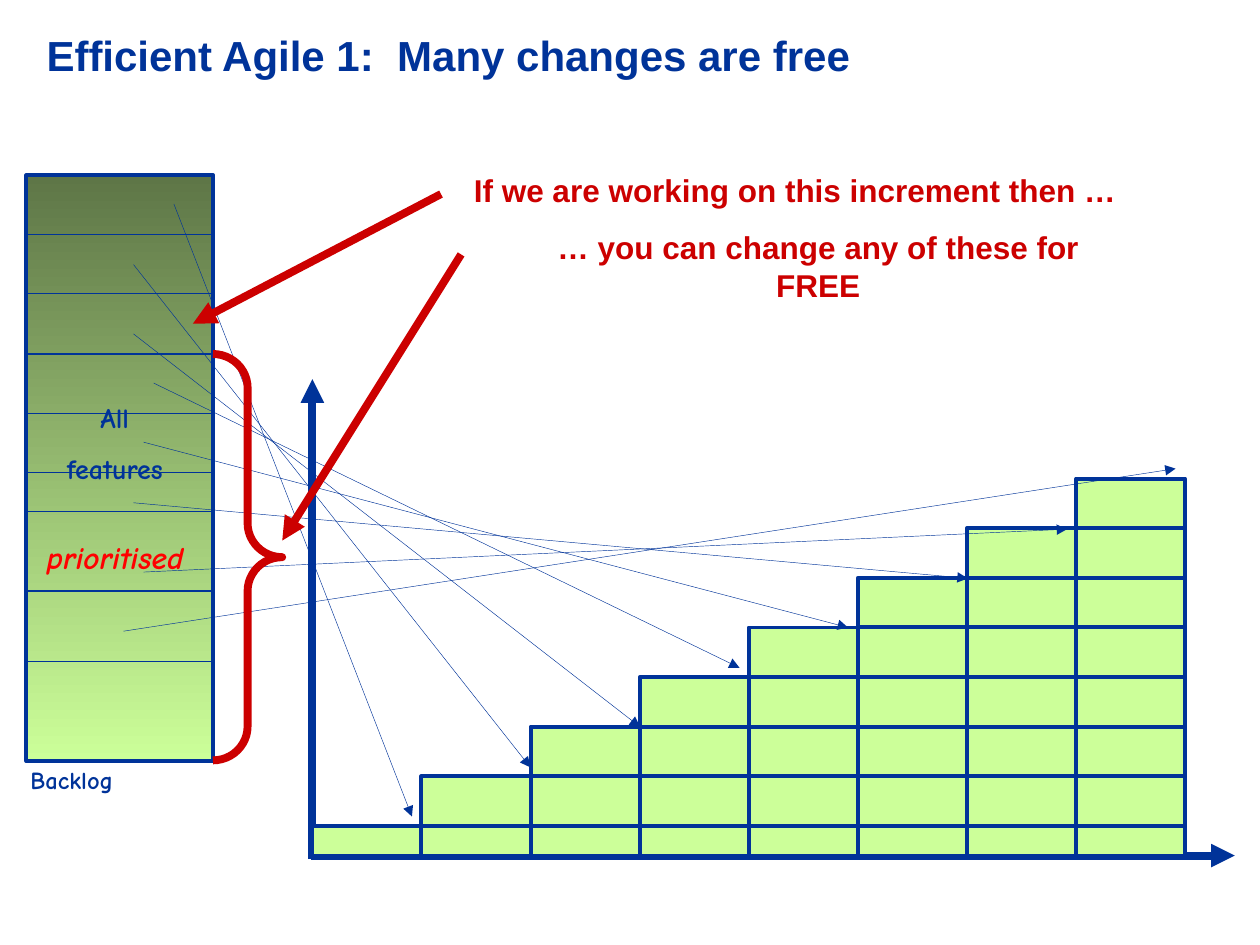
from lxml.etree import SubElement
from pptx import Presentation
from pptx.dml.color import RGBColor
from pptx.enum.shapes import MSO_CONNECTOR as CONNECTOR, MSO_SHAPE as SHAPE
from pptx.enum.text import MSO_ANCHOR as ANCHOR, PP_ALIGN as ALIGN
from pptx.oxml.ns import qn
from pptx.util import Pt

COLOURS = {"navy": "003399", "red": "CC0000", "bright": "FF0000",
           "lime": "CCFF99", "olive": "5E7647"}
HAND_FONT = "Comic Neue"

# Staircase of increments
INCREMENTS = 8
STAIR_LEFT, CELL_WIDTH = 178.5, 62.34
FIRST_TOP, FIRST_HEIGHT, ROW_HEIGHT = 472, 17.2, 28.35

DIVIDERS = [133.9, 167.8, 202.3, 236.2, 270, 292.5, 337.7, 378]
DELIVERIES = [
    ((99.4, 116.6), (235.4, 466.6)),
    ((76.3, 151.2), (303.1, 438.5)),
    ((76.3, 190.8), (365.8, 415.4)),
    ((87.8, 218.9), (422.6, 381.6)),
    ((82.1, 252.7), (484.6, 358.6)),
    ((76.3, 287.3), (553, 330.5)),
    ((82.1, 326.9), (609.8, 302.4)),
    ((70.6, 360.7), (671.8, 267.8)),
]


def rgb(name):
    return RGBColor.from_string(COLOURS[name])


def format_text(frame, size, colour, font, italic=False, align=ALIGN.CENTER):
    for para in frame.paragraphs:
        para.alignment = align
        for span in para.runs:
            span.font.size = Pt(size)
            span.font.name = font
            span.font.bold = True
            span.font.italic = italic
            span.font.color.rgb = rgb(colour)


def add_title(page, text):
    title = page.shapes.title
    title.left, title.top, title.width, title.height = map(Pt, (19.4, 15.1, 687, 36))
    frame = title.text_frame
    frame.text = text
    frame.vertical_anchor = ANCHOR.MIDDLE
    frame.paragraphs[0].line_spacing = 0.9
    format_text(frame, 24, "navy", "Arial", align=ALIGN.LEFT)


def add_label(page, text, place, size, colour, font, italic=False):
    box = page.shapes.add_textbox(*map(Pt, place))
    box.text_frame.word_wrap = False
    box.text_frame.text = text
    format_text(box.text_frame, size, colour, font, italic)


def add_box(page, *place):
    box = page.shapes.add_shape(SHAPE.RECTANGLE, *map(Pt, place))
    box.shadow.inherit = False
    box.fill.solid()
    box.fill.fore_color.rgb = rgb("lime")
    box.line.color.rgb = rgb("navy")
    box.line.width = Pt(2.25)
    return box


def add_line(page, start, end, colour, width, arrow=True):
    """Draw a straight line, with an arrowhead at its end if wanted."""
    line = page.shapes.add_connector(CONNECTOR.STRAIGHT, *map(Pt, start + end))
    line.line.color.rgb = rgb(colour)
    line.line.width = Pt(width)
    properties = line._element.spPr
    if arrow:
        SubElement(properties.find(qn("a:ln")), qn("a:tailEnd"), type="triangle")
    SubElement(properties, qn("a:effectLst"))


def add_backlog(page):
    backlog = add_box(page, 15.1, 100.1, 106.6, 334.8)
    backlog.fill.gradient()
    backlog.fill.gradient_angle = 270
    for stop, colour in zip(backlog.fill.gradient_stops, ("olive", "lime")):
        stop.color.rgb = rgb(colour)
    frame = backlog.text_frame
    frame.text = "All \nfeatures "
    frame.vertical_anchor = ANCHOR.MIDDLE
    frame.margin_bottom = Pt(32.4)  # keeps the words above "prioritised"
    for para in frame.paragraphs:
        para.space_before = Pt(10)
    format_text(frame, 16, "navy", HAND_FONT)


def add_staircase(page):
    for row in range(INCREMENTS):
        top = FIRST_TOP - row * ROW_HEIGHT
        height = ROW_HEIGHT if row else FIRST_HEIGHT
        for column in range(row, INCREMENTS):
            add_box(page, STAIR_LEFT + column * CELL_WIDTH, top, CELL_WIDTH, height)


def add_brace(page):
    brace = page.shapes.add_shape(SHAPE.RIGHT_BRACE, *map(Pt, (121.7, 202.3, 39.6, 232.2)))
    brace.shadow.inherit = False
    brace.adjustments[0] = 0.49
    brace.adjustments[1] = 0.5
    brace.fill.background()
    brace.line.color.rgb = rgb("red")
    brace.line.width = Pt(4.5)


def main():
    deck = Presentation()
    deck.slide_width, deck.slide_height = Pt(720), Pt(540)
    page = deck.slides.add_slide(deck.slide_layouts[5])

    add_title(page, "Efficient Agile 1:  Many changes are free")
    add_backlog(page)
    add_line(page, (177.8, 488.9), (705.6, 488.9), "navy", 4.5)
    add_line(page, (178.5, 491), (178.5, 216.7), "navy", 4.5)
    add_staircase(page)
    for start, end in DELIVERIES:
        add_line(page, start, end, "navy", 0.25)
    for y in DIVIDERS:
        add_line(page, (14.4, y), (121.7, y), "navy", 0.75, arrow=False)

    add_label(page, "prioritised", (19.4, 303.8, 92.9, 61.9), 18, "bright", HAND_FONT, True)
    add_label(page, "Backlog", (10.1, 433.4, 61.9, 24.5), 14, "navy", HAND_FONT)
    add_label(page, "If we are working on this increment then …",
              (263.5, 94.3, 381.6, 28.8), 18, "red", "Arial")
    add_line(page, (252, 110.9), (110.2, 185), "red", 4.5)
    add_brace(page)
    add_line(page, (263.5, 145.4), (161.3, 308.9), "red", 4.5)
    add_label(page, "… you can change any of these for FREE",
              (285.1, 126.7, 365, 28.8), 18, "red", "Arial")
    deck.save("out.pptx")


if __name__ == "__main__":
    main()
